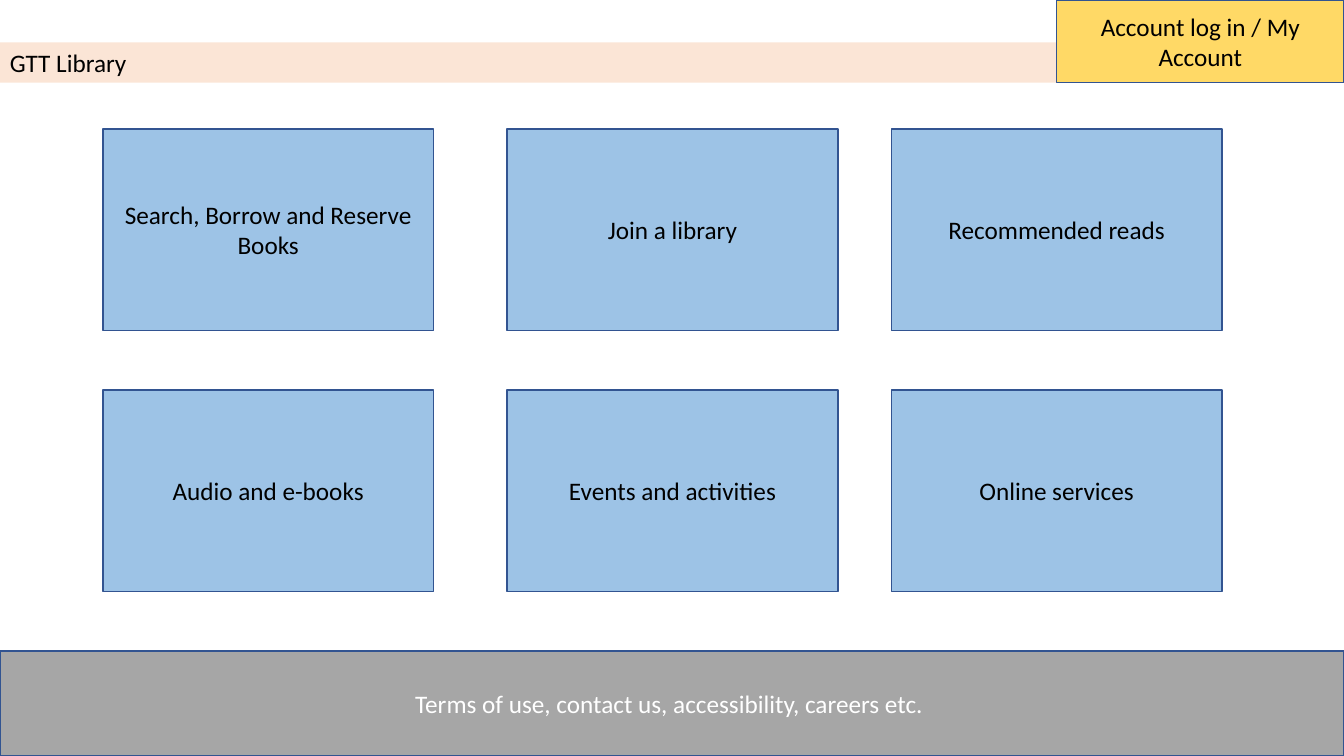
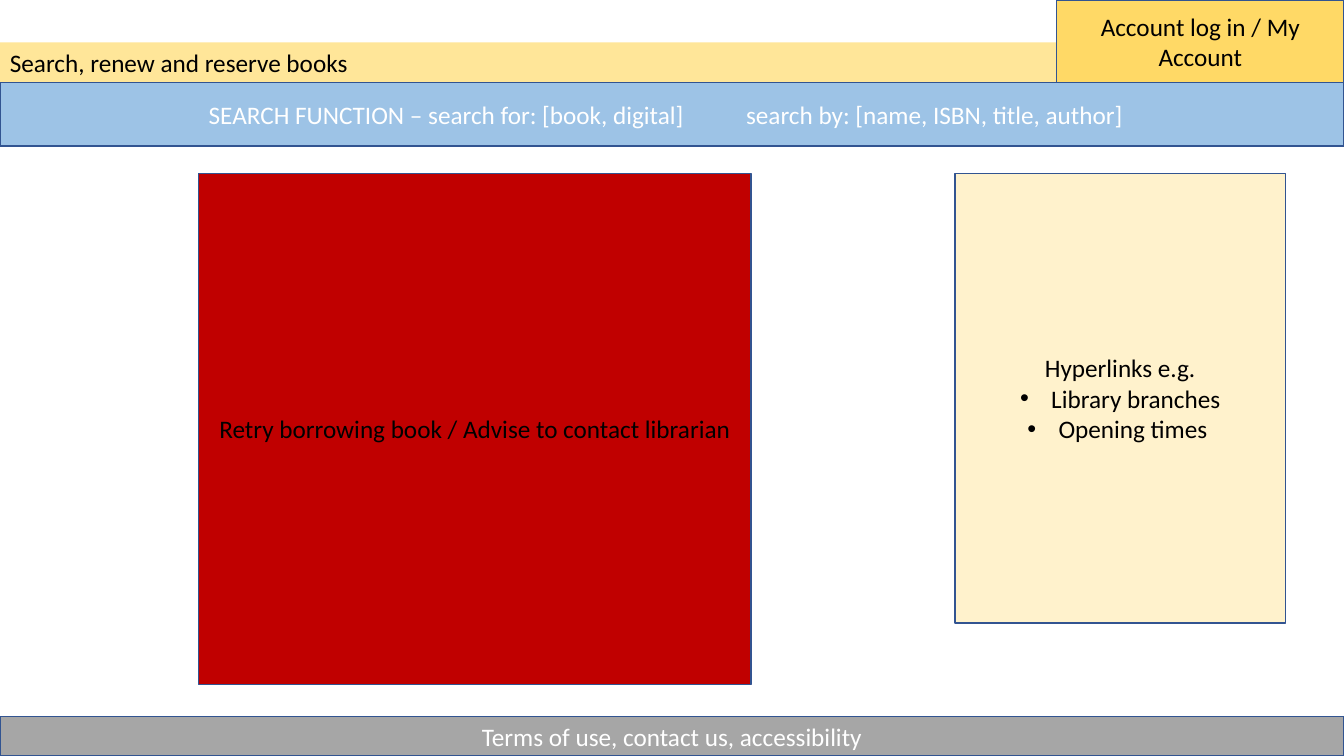
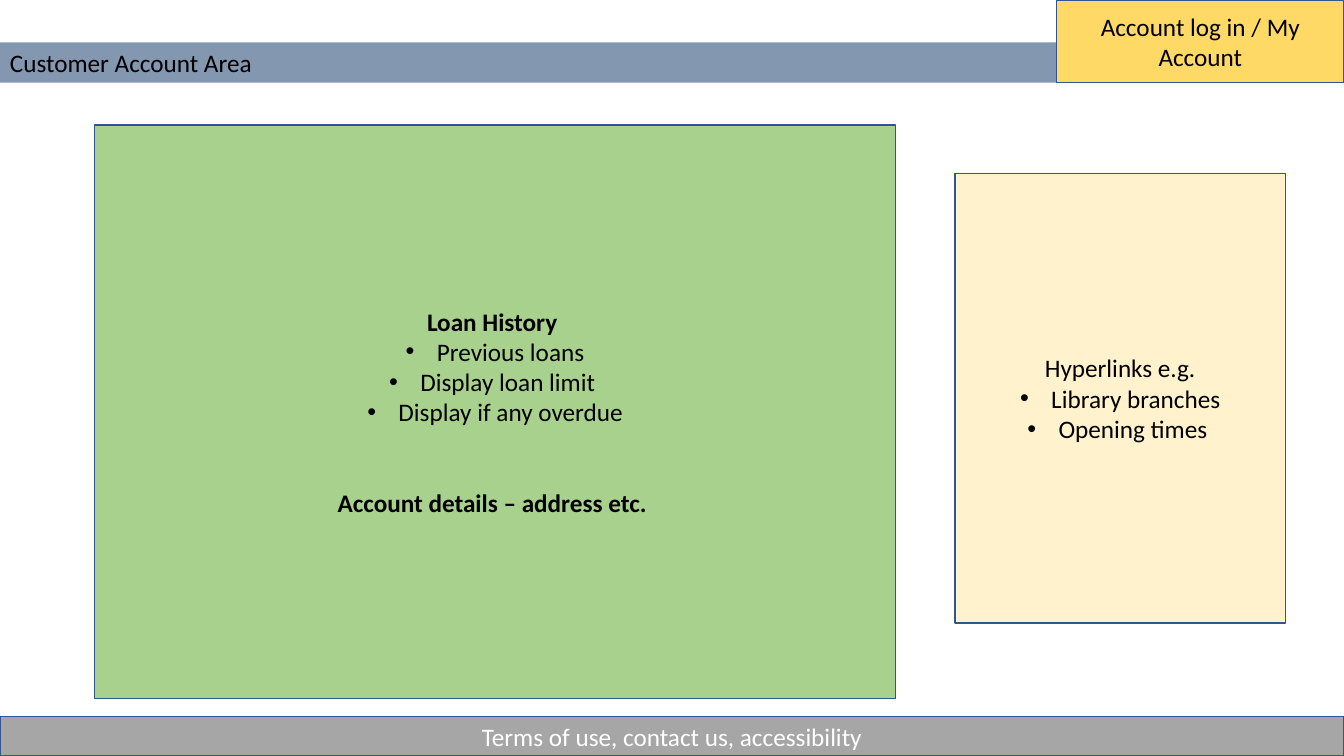
"""Build three wireframe slides for a library website."""
from dataclasses import dataclass
from itertools import product

from lxml.etree import SubElement
from pptx import Presentation
from pptx.dml.color import RGBColor
from pptx.enum.shapes import MSO_SHAPE
from pptx.enum.text import MSO_ANCHOR, MSO_AUTO_SIZE, PP_ALIGN
from pptx.oxml.ns import qn
from pptx.shapes.autoshape import Shape
from pptx.slide import Slide
from pptx.text.text import TextFrame
from pptx.util import Inches, Pt

WIDTH, HEIGHT = 13.33, 7.5
FONT, SIZE = "Calibri", 18
BLACK, WHITE, OUTLINE = "000000", "FFFFFF", "325491"
BLUE, GOLD, CREAM, GREY = "9DC3E6", "FFD966", "FFF2CC", "A6A6A6"
RED, GREEN = "C00000", "A9D18E"
BANNER_TOP, BANNER_HEIGHT = 0.42, 0.4
HEADER_BOTTOM = BANNER_TOP + BANNER_HEIGHT
BULLET_INDENT = 0.31
CARD_LEFTS, CARD_TOPS = (1.02, 5.03, 8.84), (1.28, 3.87)
PANEL_WIDTH, PANEL_TOP = 3.28, 1.72
FOOTER = "Terms of use, contact us, accessibility"


@dataclass(frozen=True)
class Line:
    """One paragraph of a box."""
    text: str
    bold: bool = False
    bullet: bool = False
    before: float = 0


@dataclass(frozen=True)
class Box:
    """A filled rectangle and its paragraphs."""
    left: float
    top: float
    width: float
    height: float
    fill: str
    lines: tuple[Line, ...]
    color: str = BLACK


def rgb(value: str) -> RGBColor:
    """Turn a hex string into a colour."""
    return RGBColor.from_string(value)


def add_text(tf: TextFrame, text: str, *, color: str = BLACK, bold: bool = False,
             bullet: bool = False, before: float = 0, tab: float = 0,
             align: PP_ALIGN = PP_ALIGN.CENTER) -> None:
    """Add a formatted paragraph, using the empty first one if there is one."""
    p = tf.paragraphs[0] if not tf.paragraphs[0].runs else tf.add_paragraph()
    p.alignment = align
    if before:
        p.space_before = Pt(before)
    pPr = p._p.get_or_add_pPr()
    if bullet:
        pPr.set("marL", str(Inches(BULLET_INDENT)))
        pPr.set("indent", str(-Inches(BULLET_INDENT)))
        SubElement(pPr, qn("a:buFont"), typeface="Arial")
        SubElement(pPr, qn("a:buChar"), char="•")
    if tab:
        stops = SubElement(pPr, qn("a:tabLst"))
        SubElement(stops, qn("a:tab"), pos=str(Inches(tab)), algn="l")
    r = p.add_run()
    r.text = text
    r.font.name, r.font.size, r.font.bold = FONT, Pt(SIZE), bold
    r.font.color.rgb = rgb(color)


def add_rect(s: Slide, left: float, top: float, width: float, height: float,
             fill: str, line: str | None = OUTLINE) -> Shape:
    """Add a flat rectangle with middle-anchored, wrapping text."""
    sp = s.shapes.add_shape(MSO_SHAPE.RECTANGLE, Inches(left), Inches(top),
                            Inches(width), Inches(height))
    sp.shadow.inherit = False
    sp.fill.solid()
    sp.fill.fore_color.rgb = rgb(fill)
    if line:
        sp.line.color.rgb = rgb(line)
        sp.line.width = Pt(1)
    else:
        sp.line.fill.background()
    sp.text_frame.word_wrap = True
    sp.text_frame.vertical_anchor = MSO_ANCHOR.MIDDLE
    return sp


def add_box(s: Slide, box: Box) -> None:
    """Draw a box and its paragraphs."""
    sp = add_rect(s, box.left, box.top, box.width, box.height, box.fill)
    for line in box.lines:
        add_text(sp.text_frame, line.text, color=box.color, bold=line.bold,
                 bullet=line.bullet, before=line.before)


def add_search_bar(s: Slide) -> None:
    """Draw the search bar with its two fields set apart by a tab stop."""
    tf = add_rect(s, 0, HEADER_BOTTOM, WIDTH, 0.63, BLUE).text_frame
    tf.margin_left = Inches(2.07)
    add_text(tf, "SEARCH FUNCTION – search for: [book, digital]\t"
             "search by: [name, ISBN, title, author]",
             color=WHITE, tab=5.33, align=PP_ALIGN.LEFT)


def add_page(prs: Presentation, title: str, banner: str, boxes: list[Box],
             footer: str = FOOTER, footer_height: float = 0.39) -> Slide:
    """Add a slide with banner, account button, content boxes and footer."""
    s = prs.slides.add_slide(prs.slide_layouts[6])
    tf = add_rect(s, 0, BANNER_TOP, WIDTH, BANNER_HEIGHT, banner, None).text_frame
    tf.vertical_anchor = MSO_ANCHOR.TOP
    tf.auto_size = MSO_AUTO_SIZE.SHAPE_TO_FIT_TEXT
    add_text(tf, title, align=PP_ALIGN.LEFT)
    account = Box(10.48, 0, 2.85, HEADER_BOTTOM, GOLD,
                  (Line("Account log in / My Account"),))
    bottom = Box(0, HEIGHT - footer_height, WIDTH, footer_height, GREY,
                 (Line(footer),), WHITE)
    for box in (account, *boxes, bottom):
        add_box(s, box)
    return s


def main() -> None:
    """Build and save the presentation."""
    prs = Presentation()
    prs.slide_width, prs.slide_height = Inches(WIDTH), Inches(HEIGHT)

    labels = ("Search, Borrow and Reserve Books", "Join a library",
              "Recommended reads", "Audio and e-books",
              "Events and activities", "Online services")
    cards = [Box(left, top, PANEL_WIDTH, 2, BLUE, (Line(label),))
             for (top, left), label in zip(product(CARD_TOPS, CARD_LEFTS), labels)]
    hyperlinks = Box(9.47, PANEL_TOP, PANEL_WIDTH, 4.46, CREAM, (
        Line("Hyperlinks e.g."),
        Line("Library branches", bullet=True),
        Line("Opening times ", bullet=True)))
    retry = Box(1.97, PANEL_TOP, 5.48, 5.07, RED, (
        Line("Retry borrowing book / Advise to contact librarian"),))
    loans = Box(0.94, 1.24, 7.94, 5.69, GREEN, (
        Line("Loan History ", bold=True),
        Line("Previous loans", bullet=True),
        Line("Display loan limit ", bullet=True),
        Line("Display if any overdue", bullet=True),
        Line("Account details – address etc. ", bold=True, before=43.4)))

    add_page(prs, "GTT Library", "FBE5D6", cards,
             f"{FOOTER}, careers etc. ", 1.04)
    search = add_page(prs, "Search, renew and reserve books", "FFE699",
                      [retry, hyperlinks])
    add_search_bar(search)
    add_page(prs, "Customer Account Area", "8497B0", [loans, hyperlinks])
    prs.save("out.pptx")


main()
